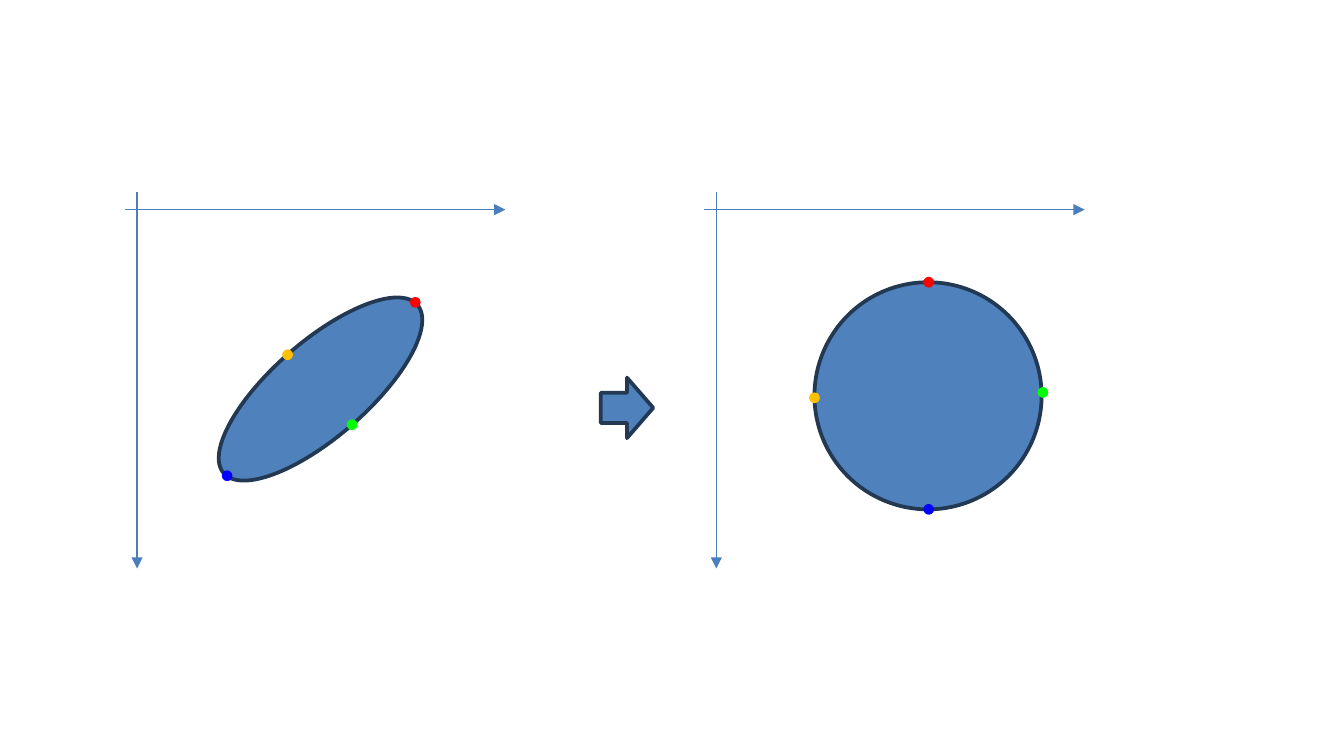
from lxml import etree
from pptx import Presentation
from pptx.dml.color import RGBColor
from pptx.enum import shapes
from pptx.oxml import ns
from pptx.util import Inches, Pt

AXIS = RGBColor(0x4B, 0x7E, 0xBC)
BODY = RGBColor(0x4F, 0x81, 0xBD)
OUTLINE = RGBColor(0x23, 0x39, 0x53)
RED = RGBColor(0xFF, 0x00, 0x00)
BLUE = RGBColor(0x00, 0x00, 0xFF)
GREEN = RGBColor(0x00, 0xFF, 0x00)
ORANGE = RGBColor(0xFF, 0xC0, 0x00)

KIND = shapes.MSO_SHAPE
PANEL_WIDTH, PANEL_HEIGHT = 2.83, 2.8
ORIGIN_X, ORIGIN_Y = 0.09, 0.13
DOT_SIZE = 0.08


def add_axis(slide, x1, y1, x2, y2):
    axis = slide.shapes.add_connector(
        shapes.MSO_CONNECTOR.STRAIGHT, *map(Inches, (x1, y1, x2, y2)))
    axis.line.color.rgb = AXIS
    axis.line.width = Pt(0.75)
    outline = axis._element.spPr.find(ns.qn("a:ln"))
    etree.SubElement(outline, ns.qn("a:tailEnd"), type="triangle")
    etree.SubElement(axis._element.spPr, ns.qn("a:effectLst"))


def add_figure(slide, kind, box, fill, outlined=True, rotation=0):
    figure = slide.shapes.add_shape(kind, *map(Inches, box))
    figure.shadow.inherit = False
    figure.rotation = rotation
    figure.fill.solid()
    figure.fill.fore_color.rgb = fill
    if outlined:
        figure.line.color.rgb = OUTLINE
        figure.line.width = Pt(2)
    else:
        figure.line.fill.background()


def add_panel(slide, left, top, ellipse, rotation, dots):
    """Axes, an ellipse and its marked points, all relative to the panel corner."""
    # Axes
    x, y = left + ORIGIN_X, top + ORIGIN_Y
    add_axis(slide, x, top, x, top + PANEL_HEIGHT)
    add_axis(slide, left, y, left + PANEL_WIDTH, y)

    # Ellipse
    dx, dy, width, height = ellipse
    add_figure(slide, KIND.OVAL, (left + dx, top + dy, width, height), BODY,
               rotation=rotation)

    # Matching points on the outline
    for color, (dx, dy) in dots.items():
        add_figure(slide, KIND.OVAL, (left + dx, top + dy, DOT_SIZE, DOT_SIZE),
                   color, outlined=False)


def main():
    prs = Presentation()
    prs.slide_width = Inches(10)
    prs.slide_height = prs.slide_width * 9 // 16
    slide = prs.slides.add_slide(prs.slide_layouts[6])

    # Tilted ellipse before the transform
    add_panel(slide, 0.93, 1.43, (0.5, 1.11, 1.91, 0.71), 319,
              {RED: (2.12, 0.78), BLUE: (0.72, 2.07),
               GREEN: (1.65, 1.69), ORANGE: (1.17, 1.17)})

    # Circle after the transform
    add_panel(slide, 5.24, 1.43, (0.82, 0.67, 1.69, 1.69), 0,
              {ORANGE: (0.78, 1.49), GREEN: (2.48, 1.45),
               BLUE: (1.63, 2.32), RED: (1.63, 0.63)})

    # Arrow from one panel to the other
    add_figure(slide, KIND.RIGHT_ARROW, (4.47, 2.81, 0.39, 0.45), BODY)

    prs.save("out.pptx")


if __name__ == "__main__":
    main()
